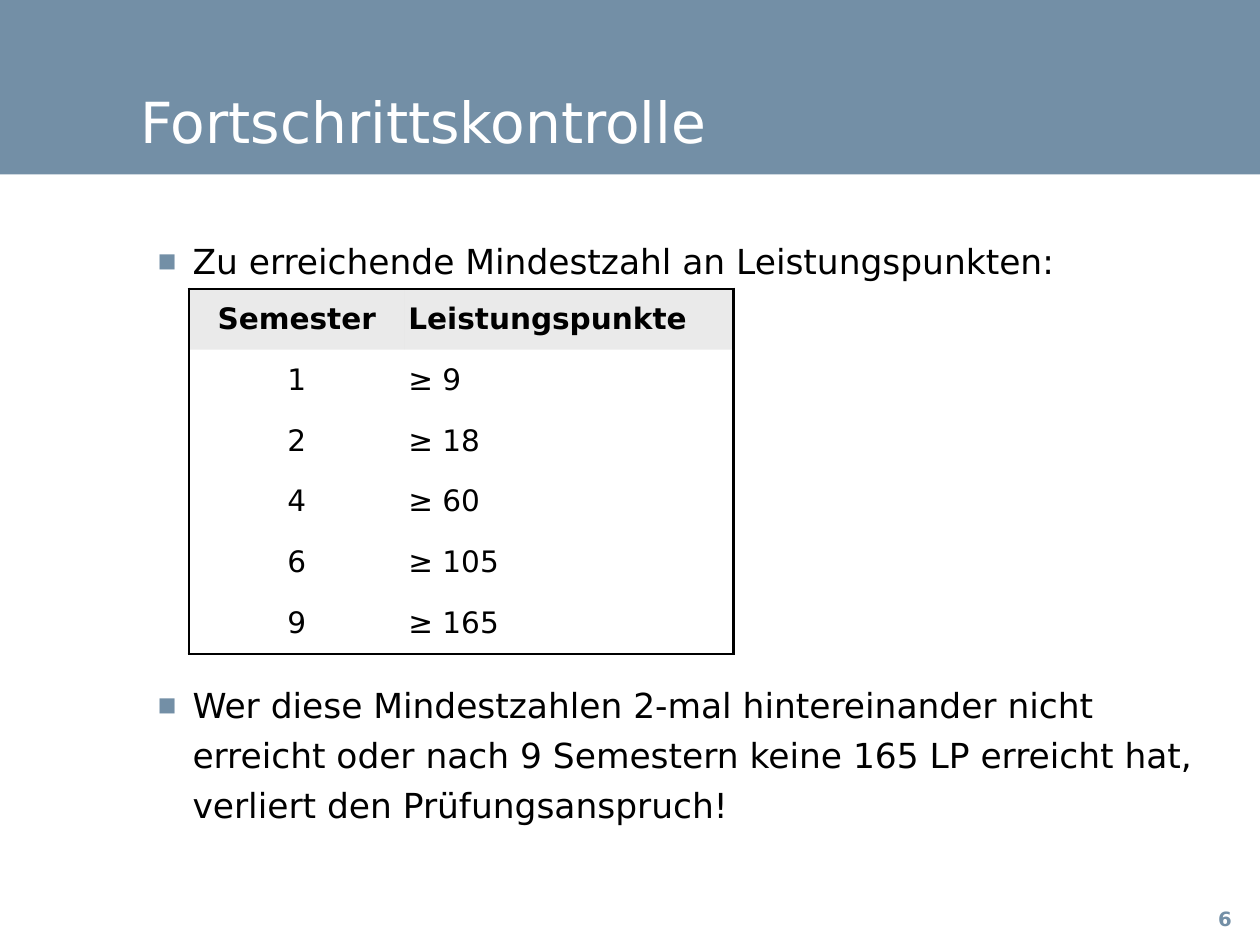
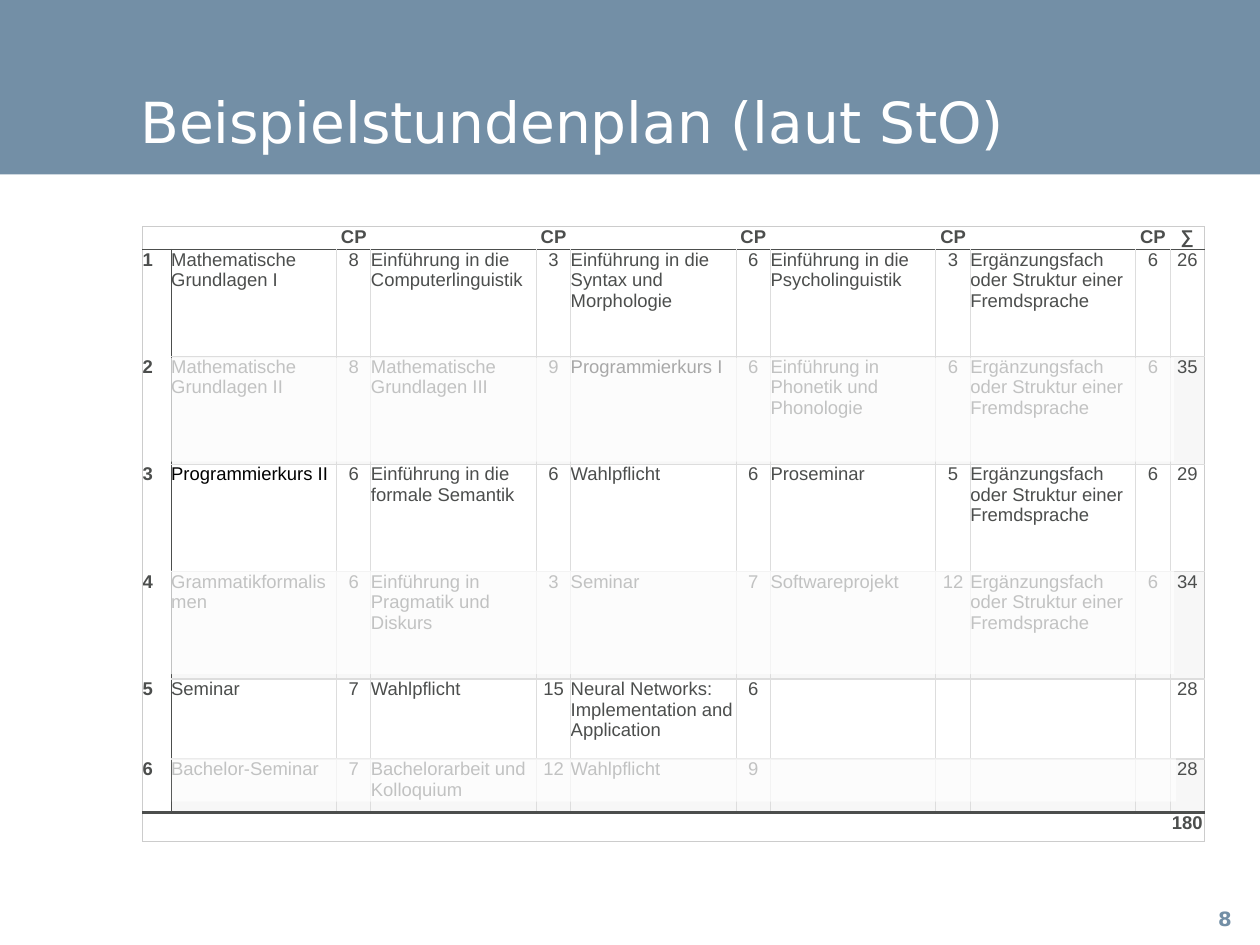
from lxml import etree
from pptx import Presentation
from pptx import util as u
from pptx.dml.color import RGBColor
from pptx.enum import shapes, text
from pptx.oxml.ns import qn

COLUMNS, ROWS = 128, 96
BLUE, WHITE, BLACK = "738FA6", "FFFFFF", "000000"
DARK, FRAME, HAIR, PALE, HEADER = "4C4E4D", "CCCCCC", "DDDDDD", "F7F7F7", "D6D6D6"
DEJAVU, ARIAL = "DejaVu Sans", "Arial"
NO_TABLE_STYLE = "{2D5ABB26-0587-4C30-8999-92F81FD0307C}"


def rgb(value):
    """Turn a hex string into a colour."""
    return RGBColor.from_string(value)


def paint(fill, color, opacity=100):
    """Fill with a colour, or leave empty when it is None."""
    if color is None:
        fill.background()
        return
    fill.solid()
    fill.fore_color.rgb = rgb(color)
    if opacity < 100:
        node = fill._xPr.find(".//" + qn("a:srgbClr"))
        etree.SubElement(node, qn("a:alpha"), val=str(opacity * 1000))


def set_font(paragraph, size, color, bold=False, name=DEJAVU):
    """Set the font of a whole paragraph."""
    font = paragraph.font
    font.size, font.bold, font.name = u.Pt(size), bold, name
    font.color.rgb = rgb(color)


def set_margins(box, margin):
    """Give a text frame or a cell four equal margins."""
    box.margin_left = box.margin_right = margin
    box.margin_top = box.margin_bottom = margin


def set_borders(cell, lines):
    """Draw left, right, top and bottom lines, each a (colour, points) pair or None."""
    properties = cell._tc.get_or_add_tcPr()
    for index, (side, line) in enumerate(zip("LRTB", lines)):
        color, width = line or (None, 0)
        border = etree.Element(qn("a:ln" + side), w=str(u.Pt(width)))
        if color:
            solid = etree.SubElement(border, qn("a:solidFill"))
            etree.SubElement(solid, qn("a:srgbClr"), val=color)
        else:
            etree.SubElement(border, qn("a:noFill"))
        properties.insert(index, border)


class Deck:
    """Holds the shared style and the current slide."""

    def __init__(self):
        """Start a presentation on a grid of square cells."""
        self.presentation = Presentation()
        self.presentation.slide_width = u.Inches(14.22)
        self.presentation.slide_height = u.Inches(10.67)
        self.slide = None

    def x(self, columns):
        """Length of a number of grid columns."""
        return round(self.presentation.slide_width * columns / COLUMNS)

    def y(self, rows):
        """Length of a number of grid rows."""
        return round(self.presentation.slide_height * rows / ROWS)

    def area(self, left, top, width, height):
        """Position and size of a grid area."""
        return self.x(left), self.y(top), self.x(width), self.y(height)

    def place(self, shape, *area):
        """Move a placeholder to a grid area."""
        shape.left, shape.top, shape.width, shape.height = self.area(*area)

    def add_slide(self, layout, title, number):
        """Add a slide with its title and page number."""
        self.slide = self.presentation.slides.add_slide(
            self.presentation.slide_layouts.get_by_name(layout))
        if len(self.presentation.slides) == 1:
            self.add_master_band()
        shape = self.slide.shapes.title
        self.place(shape, 14.25, 2.25, 108, 13.5)
        frame = shape.text_frame
        frame.text = title
        frame.vertical_anchor = text.MSO_ANCHOR.BOTTOM
        frame.auto_size = text.MSO_AUTO_SIZE.NONE
        set_margins(frame, 0)
        paragraph = frame.paragraphs[0]
        paragraph.alignment = text.PP_ALIGN.LEFT
        paragraph.line_spacing = 1.1
        set_font(paragraph, 46, WHITE)
        self.add_page_number(number)

    def add_master_band(self):
        """Put the title band on the slide master."""
        band = self.add_panel(0, 0, COLUMNS, 17.73, BLUE)
        self.presentation.slide_master.shapes.element.insert(2, band.element)

    def add_panel(self, left, top, width, height, color, opacity=100):
        """Add a rectangle without outline."""
        panel = self.slide.shapes.add_shape(
            shapes.MSO_SHAPE.RECTANGLE, *self.area(left, top, width, height))
        panel.shadow.inherit = False
        panel.line.fill.background()
        paint(panel.fill, color, opacity)
        return panel

    def add_page_number(self, number):
        """Add the page number at the lower right."""
        box = self.slide.shapes.add_textbox(*self.area(122.6, 91.7, 3.7, 3.15))
        frame = box.text_frame
        frame.word_wrap = False
        frame.vertical_anchor = text.MSO_ANCHOR.BOTTOM
        set_margins(frame, self.x(0.36))
        paragraph = frame.paragraphs[0]
        paragraph.text = str(number)
        paragraph.alignment = text.PP_ALIGN.CENTER
        set_font(paragraph, 16, BLUE, bold=True)

    def add_bullets(self, items):
        """Fill the body placeholder with (text, points before) items."""
        body = self.slide.placeholders[1]
        self.place(body, 14.25, 23, 108, 68.4)
        frame = body.text_frame
        frame.auto_size = text.MSO_AUTO_SIZE.NONE
        set_margins(frame, self.x(0.54))
        frame.text = "\n".join(item for item, _ in items)
        for paragraph, (_, space) in zip(frame.paragraphs, items):
            paragraph.line_spacing = 1.2
            paragraph.space_before = u.Pt(space)
            self.add_marker(paragraph)
            set_font(paragraph, 28, BLACK)

    def add_marker(self, paragraph):
        """Give a paragraph a small blue square and a hanging indent."""
        properties = paragraph._p.get_or_add_pPr()
        properties.set("marL", str(self.x(4.77)))
        properties.set("indent", str(self.x(-3.51)))
        color = etree.SubElement(properties, qn("a:buClr"))
        etree.SubElement(color, qn("a:srgbClr"), val=BLUE)
        etree.SubElement(properties, qn("a:buSzPct"), val="57000")
        etree.SubElement(properties, qn("a:buFont"), typeface=DEJAVU)
        etree.SubElement(properties, qn("a:buChar"), char="■")

    def add_table(self, left, top, widths, heights, rows, look, column_line, row_line):
        """Add a table; look(row, column, value) formats cells, the line rules draw edges."""
        graphic = self.slide.shapes.add_table(
            len(heights), len(widths), *self.area(left, top, sum(widths), sum(heights)))
        graphic.element.find(".//" + qn("a:tableStyleId")).text = NO_TABLE_STYLE
        table = graphic.table
        table.first_row = table.horz_banding = False
        for column, width in zip(table.columns, widths):
            column.width = self.x(width)
        for row, height in zip(table.rows, heights):
            row.height = self.y(height)
        for r, values in enumerate(rows):
            for c, value in enumerate(values):
                self.fill_cell(table.cell(r, c), value, **look(r, c, value))
                set_borders(table.cell(r, c), (column_line(r, c), column_line(r, c + 1),
                                               row_line(r, c), row_line(r + 1, c)))

    def fill_cell(self, cell, value, size, color, bold, name, centred, fill,
                  opacity=100, margin=0, anchor=text.MSO_ANCHOR.TOP):
        """Write and format one table cell."""
        set_margins(cell, self.x(margin))
        cell.vertical_anchor = anchor
        paint(cell.fill, fill, opacity)
        paragraph = cell.text_frame.paragraphs[0]
        paragraph.alignment = text.PP_ALIGN.CENTER if centred else text.PP_ALIGN.LEFT
        set_font(paragraph, size, color, bold, name)
        if value:
            paragraph.text = value
        else:
            etree.SubElement(paragraph._p, qn("a:endParaRPr"), sz=str(size * 100))


def add_progress_slide(deck):
    """Minimum credit points by semester."""
    deck.add_slide("Title and Content", "Fortschrittskontrolle", 6)
    deck.add_bullets([
        ("Zu erreichende Mindestzahl an Leistungspunkten:", 20),
        ("Wer diese Mindestzahlen 2-mal hintereinander nicht erreicht oder nach "
         "9 Semestern keine 165 LP erreicht hat, verliert den Prüfungsanspruch!", 321),
    ])
    minimum = {1: 9, 2: 18, 4: 60, 6: 105, 9: 165}
    rows = [("Semester", "Leistungspunkte")]
    rows += [(str(semester), f"≥ {points}") for semester, points in minimum.items()]
    outline = (BLACK, 2)

    def look(row, column, value):
        """Shaded bold header, centred first column."""
        return dict(size=24, color=BLACK, bold=row == 0, name=DEJAVU,
                    centred=column == 0, fill=None if row else HEADER, opacity=50,
                    margin=0.36, anchor=text.MSO_ANCHOR.MIDDLE)

    deck.add_table(19.17, 29.34, [21.96, 33.39], [6.18] * len(rows), rows, look,
                   lambda row, edge: outline if edge in (0, 2) else None,
                   lambda edge, column: outline if edge in (0, len(rows)) else None)


def add_timetable_slide(deck):
    """Example timetable with every second semester faded."""
    deck.add_slide("Title Only", "Beispielstundenplan (laut StO)", 8)
    minor = "Ergänzungsfach oder Struktur einer Fremdsprache"
    semesters = [
        ("26", "Mathematische Grundlagen I", "8", "Einführung in die Computerlinguistik", "3",
         "Einführung in die Syntax und Morphologie", "6",
         "Einführung in die Psycholinguistik", "3", minor, "6"),
        ("35", "Mathematische Grundlagen II", "8", "Mathematische Grundlagen III", "9",
         "Programmierkurs I", "6", "Einführung in Phonetik und Phonologie", "6", minor, "6"),
        ("29", "Programmierkurs II", "6", "Einführung in die formale Semantik", "6",
         "Wahlpflicht", "6", "Proseminar", "5", minor, "6"),
        ("34", "Grammatikformalismen", "6", "Einführung in Pragmatik und Diskurs", "3",
         "Seminar", "7", "Softwareprojekt", "12", minor, "6"),
        ("28", "Seminar", "7", "Wahlpflicht", "15",
         "Neural Networks: Implementation and Application", "6", "", "", "", ""),
        ("28", "Bachelor-Seminar", "7", "Bachelorarbeit und Kolloquium", "12",
         "Wahlpflicht", "9", "", "", "", ""),
    ]
    rows = [[""] + ["", "CP"] * 5 + ["∑"]]
    rows += [[str(number), *courses, total]
             for number, (total, *courses) in enumerate(semesters, 1)]
    rows.append([""] * 11 + ["180"])
    widths = [2.9] + [16.8, 3.5] * 5 + [3.5]
    heights = [2.3] + [10.91] * 4 + [8.13, 5.45, 2.95]
    last_row, last_column = len(rows) - 1, len(widths) - 1

    def look(row, column, value):
        """Bold edges, centred points, pale even semesters."""
        return dict(size=15, name=ARIAL,
                    color=BLACK if value.startswith("Programmierkurs") else DARK,
                    bold=row in (0, last_row) or column == 0,
                    centred=column == last_column or (column > 0 and column % 2 == 0),
                    fill=PALE if row in (2, 4, 6) and column else WHITE)

    def column_line(row, edge):
        """Vertical line at a column edge."""
        if edge in (0, last_column + 1):
            return FRAME, 1
        if row in (0, last_row):
            return None
        return (DARK if edge == 1 else HAIR), 1

    def row_line(edge, column):
        """Horizontal line at a row edge."""
        if edge in (0, last_row + 1):
            return FRAME, 1
        if edge in (1, last_row):
            return DARK, 1 if edge == 1 else 3
        return (HAIR, 1) if column else None

    deck.add_table(14.49, 23.04, widths, heights, rows, look, column_line, row_line)
    for left, top, height in ((17.28, 36.36, 10.53), (17.28, 57.96, 10.53),
                              (17.46, 77.04, 4.41)):
        deck.add_panel(left, top, 102, height, WHITE, opacity=66)


deck = Deck()
add_progress_slide(deck)
add_timetable_slide(deck)
deck.presentation.save("out.pptx")
